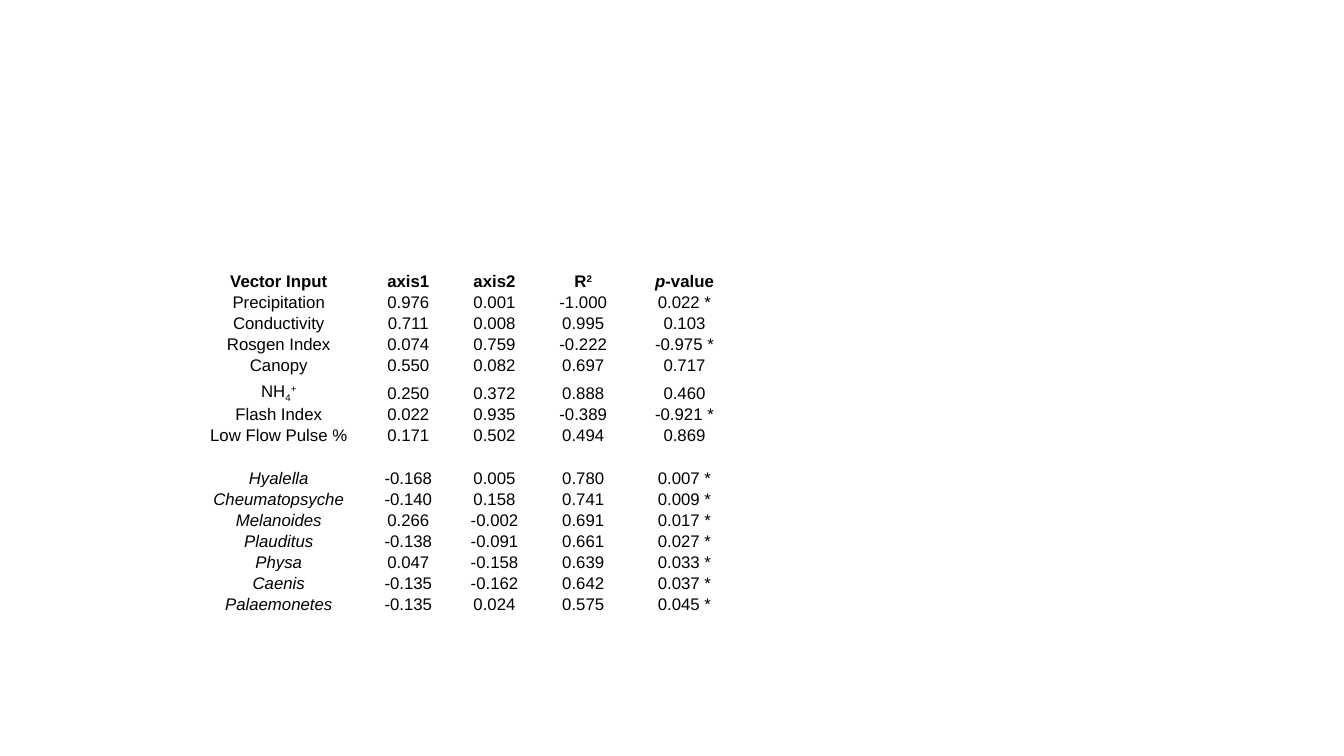
import pptx
import pptx.util
import pptx.dml.color
import pptx.enum.text
import lxml.etree
from pptx.util import Inches

HEADER = ["Vector Input", "axis1", "axis2", [("R", {}), ("2", {"baseline": 30})],
          [("p", {"italic": True}), ("-value", {})]]
ENVIRONMENT = [
    ("Precipitation", "0.976", "0.001", "-1.000", "0.022 *"),
    ("Conductivity", "0.711", "0.008", "0.995", "0.103"),
    ("Rosgen Index", "0.074", "0.759", "-0.222", "-0.975 *"),
    ("Canopy", "0.550", "0.082", "0.697", "0.717"),
    ([("NH", {}), ("4", {"baseline": -25}), ("+", {"baseline": 30})],
     "0.250", "0.372", "0.888", "0.460"),
    ("Flash Index", "0.022", "0.935", "-0.389", "-0.921 *"),
    ("Low Flow Pulse %", "0.171", "0.502", "0.494", "0.869"),
]
GENERA = [
    ("Hyalella", "-0.168", "0.005", "0.780", "0.007 *"),
    ("Cheumatopsyche", "-0.140", "0.158", "0.741", "0.009 *"),
    ("Melanoides", "0.266", "-0.002", "0.691", "0.017 *"),
    ("Plauditus", "-0.138", "-0.091", "0.661", "0.027 *"),
    ("Physa", "0.047", "-0.158", "0.639", "0.033 *"),
    ("Caenis", "-0.135", "-0.162", "0.642", "0.037 *"),
    ("Palaemonetes", "-0.135", "0.024", "0.575", "0.045 *"),
]
COLUMN_WIDTHS = [1.43, 1.14, 0.57, 1.19, 0.82]
ROW_HEIGHT = 15 / 72
SPECIAL_HEIGHTS = {0: 0.26, 5: 0.28}
FONT = {"name": "Arial", "size": pptx.util.Pt(12)}
CELL = {"margin_left": Inches(0.01), "margin_right": Inches(0.01),
        "margin_top": Inches(0.01), "margin_bottom": 0,
        "vertical_anchor": pptx.enum.text.MSO_ANCHOR.BOTTOM}


def set_all(target, values):
    for name, value in values.items():
        setattr(target, name, value)


def color(hex_value):
    return pptx.dml.color.RGBColor.from_string(hex_value)


def fill_cell(cell, content, bold, italic):
    set_all(cell, CELL)
    cell.fill.background()
    p = cell.text_frame.paragraphs[0]
    p.alignment = pptx.enum.text.PP_ALIGN.CENTER
    if not content:
        end = lxml.etree.SubElement(p._p, pptx.oxml.ns.qn("a:endParaRPr"))
        end.set("sz", "1200")
        return
    parts = [(content, {})] if isinstance(content, str) else content
    for text, changes in parts:
        r = p.add_run()
        r.text = text
        set_all(r.font, FONT)
        r.font.bold = bold
        r.font.italic = changes.get("italic", italic)
        r.font.color.rgb = color("000000")
        if "baseline" in changes:
            r._r.get_or_add_rPr().set("baseline", str(changes["baseline"] * 1000))


def main():
    prs = pptx.Presentation()
    prs.slide_width, prs.slide_height = Inches(13.33), Inches(7.5)
    s = prs.slides.add_slide(prs.slide_layouts[6])
    rows = [HEADER] + ENVIRONMENT + [[""] * len(HEADER)] + GENERA
    first_genus = len(rows) - len(GENERA)
    heights = [SPECIAL_HEIGHTS.get(i, ROW_HEIGHT) for i in range(len(rows))]
    table = s.shapes.add_table(len(rows), len(HEADER), Inches(2.05), Inches(2.63),
                               Inches(sum(COLUMN_WIDTHS)), Inches(sum(heights))).table
    set_all(table, {"first_row": False, "horz_banding": False})
    for column, width in zip(table.columns, COLUMN_WIDTHS):
        column.width = Inches(width)
    for i, (values, height) in enumerate(zip(rows, heights)):
        table.rows[i].height = Inches(height)
        for j, content in enumerate(values):
            fill_cell(table.cell(i, j), content, i == 0, i >= first_genus and j == 0)
    prs.save("out.pptx")


if __name__ == "__main__":
    main()
